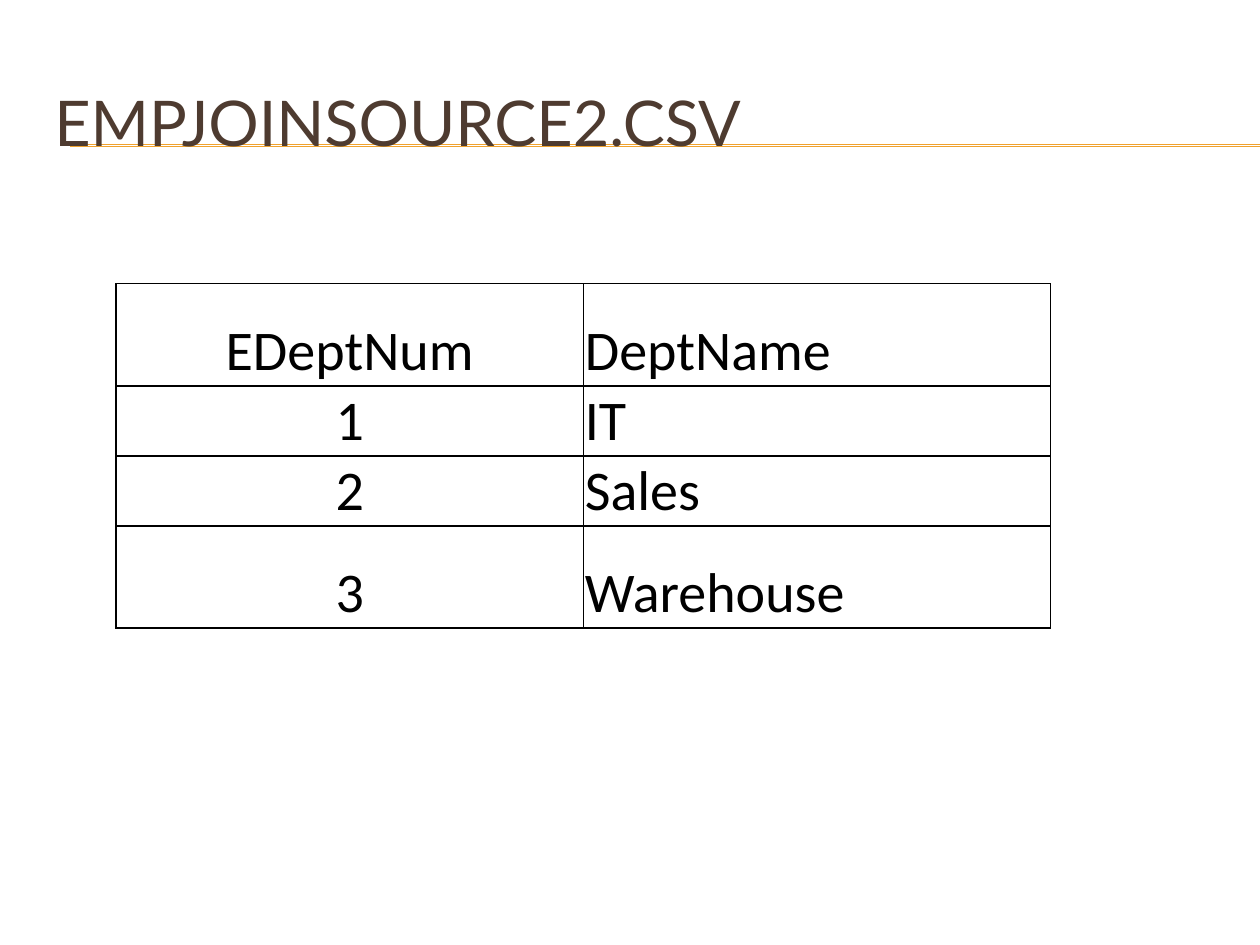
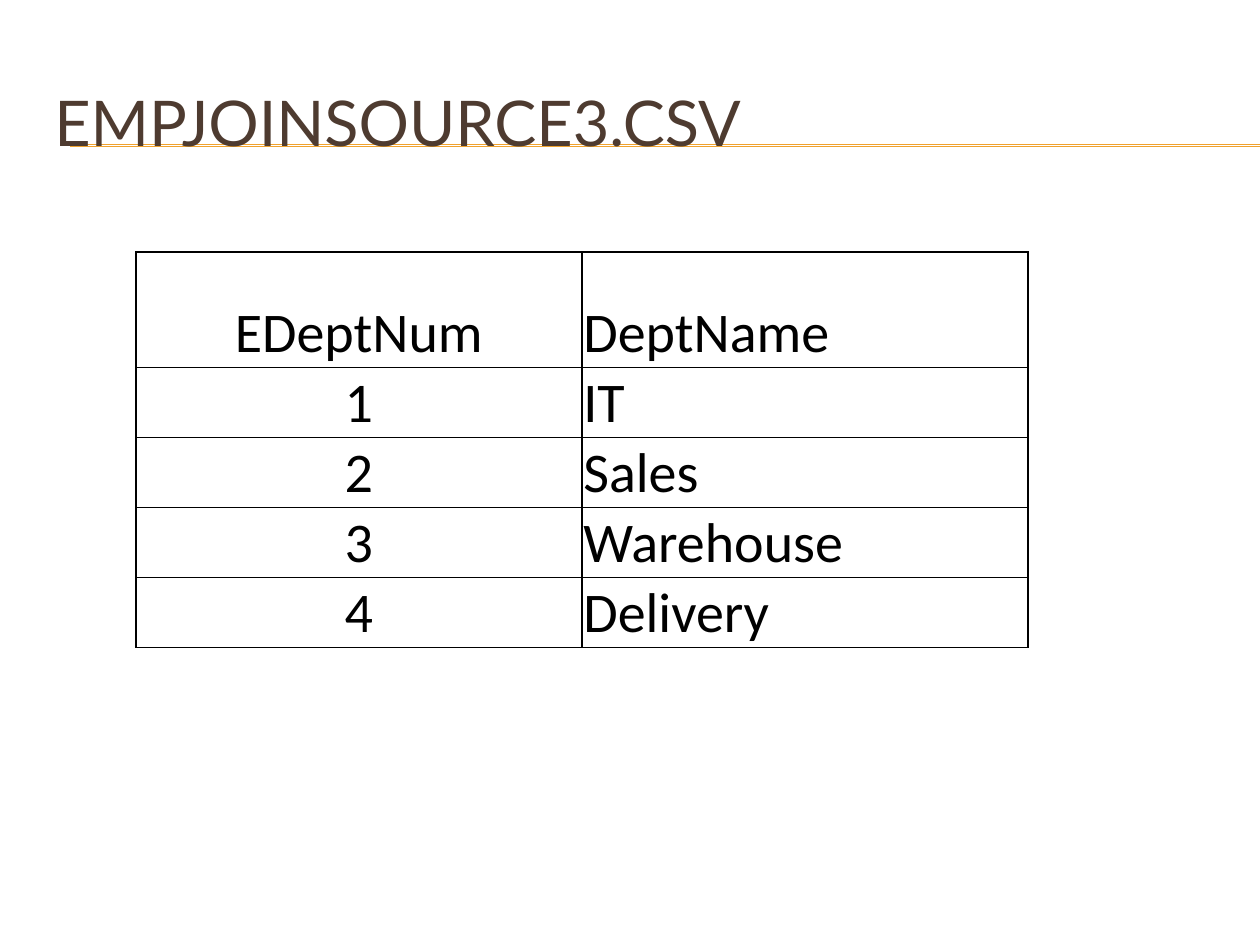
from lxml import etree
from pptx import Presentation
from pptx.dml.color import RGBColor
from pptx.enum.shapes import MSO_CONNECTOR
from pptx.enum.text import MSO_ANCHOR, MSO_AUTO_SIZE, PP_ALIGN
from pptx.oxml.ns import qn
from pptx.util import Cm, Pt

LEFT, CENTER = PP_ALIGN.LEFT, PP_ALIGN.CENTER
MIDDLE, BOTTOM = MSO_ANCHOR.MIDDLE, MSO_ANCHOR.BOTTOM
NO_AUTOFIT = MSO_AUTO_SIZE.NONE
STRAIGHT = MSO_CONNECTOR.STRAIGHT

BROWN = RGBColor(0x4E, 0x3B, 0x30)
ORANGE = RGBColor(0xF0, 0xA2, 0x2E)
BLACK = RGBColor(0, 0, 0)

SLIDE_WIDTH, SLIDE_HEIGHT = Cm(25.4), Cm(19.05)
RULE_LEFT = Cm(1.42)
RULE_TOPS = (Cm(2.92), Cm(2.95))
TITLE_BOX = (Cm(0.84), Cm(1.27), Cm(24.13), Cm(2.34))
CELL_INSET = Cm(0.03)
TITLE_LAYOUT = 5

HEADER = ("EDeptNum", "DeptName")
DEPARTMENTS = [("1", "IT"), ("2", "Sales"), ("3", "Warehouse"), ("4", "Delivery")]

SOURCES = [
    {
        "title": "EMPJOINSOURCE2.CSV",
        "rows": [HEADER] + DEPARTMENTS[:3],
        "left": 2.34,
        "top": 5.72,
        "column_width": 9.42,
        "row_heights": (2.06, 1.4, 1.4, 2.06),
    },
    {
        "title": "EMPJOINSOURCE3.CSV",
        "rows": [HEADER] + DEPARTMENTS,
        "left": 2.74,
        "top": 5.08,
        "column_width": 8.99,
        "row_heights": (2.33, 1.4, 1.4, 1.4, 1.4),
    },
]


def write_text(frame, text, *, font, size, color, align=LEFT):
    paragraph = frame.paragraphs[0]
    paragraph.alignment = align
    run = paragraph.add_run()
    run.text = text
    run.font.name = font
    run.font.size = Pt(size)
    run.font.color.rgb = color


def add_rules(slide):
    for index, top in enumerate(RULE_TOPS):
        rule = slide.shapes.add_connector(STRAIGHT, RULE_LEFT, top, SLIDE_WIDTH, top)
        rule.line.color.rgb = ORANGE
        rule.line.width = Pt(0.75)
        etree.SubElement(rule._element.spPr, qn("a:effectLst"))
        slide.shapes._spTree.insert(2 + index, rule._element)


def add_title(slide, text):
    title = slide.shapes.title
    title.left, title.top, title.width, title.height = TITLE_BOX
    frame = title.text_frame
    frame.auto_size = NO_AUTOFIT
    frame.vertical_anchor = MIDDLE
    write_text(frame, text, font="Lato", size=36, color=BROWN)


def add_borders(cell):
    properties = cell._tc.get_or_add_tcPr()
    for index, side in enumerate(("lnL", "lnR", "lnT", "lnB")):
        border = etree.Element(qn(f"a:{side}"), w=str(Pt(1)))
        fill = etree.SubElement(border, qn("a:solidFill"))
        etree.SubElement(fill, qn("a:srgbClr"), val=str(BLACK))
        properties.insert(index, border)


def format_cell(cell, text, align):
    cell.margin_left = cell.margin_right = cell.margin_top = CELL_INSET
    cell.margin_bottom = 0
    cell.vertical_anchor = BOTTOM
    cell.fill.background()
    add_borders(cell)
    write_text(cell.text_frame, text, font="Calibri", size=32, color=BLACK, align=align)


def add_department_table(slide, source):
    rows, heights = source["rows"], source["row_heights"]
    column_width = Cm(source["column_width"])
    table = slide.shapes.add_table(
        len(rows), len(HEADER), Cm(source["left"]), Cm(source["top"]),
        column_width * len(HEADER), Cm(sum(heights)),
    ).table
    table.first_row = False
    table.horz_banding = False
    for column in table.columns:
        column.width = column_width
    for row, height, values in zip(table.rows, heights, rows):
        row.height = Cm(height)
        for cell, text, align in zip(row.cells, values, (CENTER, LEFT)):
            format_cell(cell, text, align)


def main():
    presentation = Presentation()
    presentation.slide_width = SLIDE_WIDTH
    presentation.slide_height = SLIDE_HEIGHT
    for source in SOURCES:
        slide = presentation.slides.add_slide(presentation.slide_layouts[TITLE_LAYOUT])
        add_rules(slide)
        add_title(slide, source["title"])
        add_department_table(slide, source)
    presentation.save("out.pptx")


if __name__ == "__main__":
    main()
